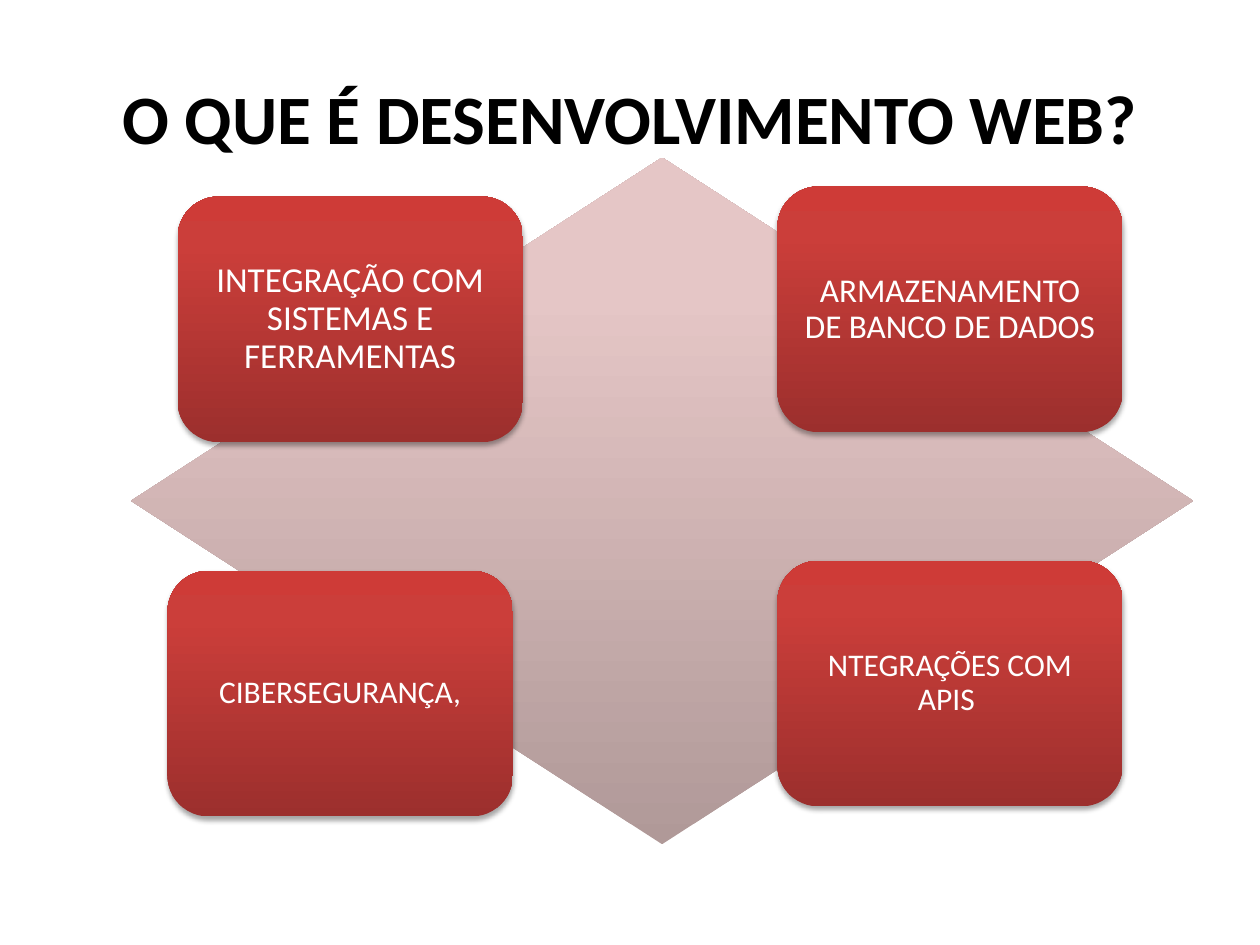
"""Build the slide on what web development is: four cards over a diamond."""
import copy
from dataclasses import dataclass

import lxml.etree
import pptx
import pptx.dml.color
import pptx.enum.shapes
import pptx.enum.text
import pptx.oxml.ns
import pptx.presentation
import pptx.shapes.autoshape
import pptx.slide
import pptx.text.text
import pptx.util

Inches = pptx.util.Inches
Pt = pptx.util.Pt
Shape = pptx.shapes.autoshape.Shape
Preset = pptx.enum.shapes.MSO_SHAPE
qn = pptx.oxml.ns.qn

FONT = "Calibri"
CARD_WIDTH, CARD_HEIGHT = 2.74, 1.95


@dataclass(frozen=True)
class GradientStop:
    position: float
    color: str


@dataclass(frozen=True)
class Card:
    label: str
    left: float
    top: float
    size: float
    inset: float


DIAMOND_STOPS = [GradientStop(0, "B09998"), GradientStop(0.8, "E5C6C6"), GradientStop(1, "E6C7C6")]
CARD_STOPS = [GradientStop(0, "9C2F2D"), GradientStop(0.8, "CB3E3A"), GradientStop(1, "CE3B37")]
CARDS = [
    Card("INTEGRAÇÃO COM SISTEMAS E FERRAMENTAS", 1.41, 1.56, 20, 0.08),
    Card("ARMAZENAMENTO DE BANCO DE DADOS", 6.17, 1.48, 19, 0.08),
    Card("CIBERSEGURANÇA,", 1.33, 4.53, 18, 0.07),
    Card("NTEGRAÇÕES COM APIS ", 6.17, 4.45, 18, 0.07),
]


def rgb(color: str) -> pptx.dml.color.RGBColor:
    return pptx.dml.color.RGBColor.from_string(color)


def fill_upward(shape: Shape, stops: list[GradientStop]) -> None:
    shape.fill.gradient()
    shape.fill.gradient_angle = 90
    stop_list = shape._element.spPr.find(f"{qn('a:gradFill')}/{qn('a:gsLst')}")
    stop_list.append(copy.deepcopy(stop_list[-1]))
    for target, stop in zip(shape.fill.gradient_stops, stops):
        target.position = stop.position
        target.color.rgb = rgb(stop.color)


def cast_shadow(shape: Shape) -> None:
    effects = shape._element.spPr.find(qn("a:effectLst"))
    shadow = lxml.etree.SubElement(
        effects, qn("a:outerShdw"), blurRad=str(Pt(3.1)), dist=str(Pt(1.8)),
        dir="5400000", rotWithShape="0")
    black = lxml.etree.SubElement(shadow, qn("a:srgbClr"), val="000000")
    lxml.etree.SubElement(black, qn("a:alpha"), val="35000")


def add_gradient_shape(slide: pptx.slide.Slide, preset: Preset, left: float, top: float,
                       width: float, height: float, stops: list[GradientStop]) -> Shape:
    shape = slide.shapes.add_shape(preset, Inches(left), Inches(top), Inches(width), Inches(height))
    fill_upward(shape, stops)
    shape.line.fill.background()
    shape.shadow.inherit = False
    return shape


def write_centred(frame: pptx.text.text.TextFrame, text: str, size: float, color: str,
                  bold: bool = False) -> pptx.text.text._Paragraph:
    frame.word_wrap = True
    frame.vertical_anchor = pptx.enum.text.MSO_ANCHOR.MIDDLE
    paragraph = frame.paragraphs[0]
    paragraph.alignment = pptx.enum.text.PP_ALIGN.CENTER
    run = paragraph.add_run()
    run.text = text
    run.font.name = FONT
    run.font.size = Pt(size)
    run.font.bold = bold
    run.font.color.rgb = rgb(color)
    return paragraph


def add_card(slide: pptx.slide.Slide, card: Card) -> None:
    body = add_gradient_shape(slide, Preset.ROUNDED_RECTANGLE, card.left, card.top,
                              CARD_WIDTH, CARD_HEIGHT, CARD_STOPS)
    cast_shadow(body)
    frame = body.text_frame
    frame.margin_left = frame.margin_right = Inches(card.inset)
    frame.margin_top = frame.margin_bottom = Inches(card.inset)
    write_centred(frame, card.label, card.size, "FFFFFF").line_spacing = 0.9


def main() -> None:
    presentation = pptx.Presentation()
    presentation.slide_width = Inches(10)
    presentation.slide_height = Inches(7.5)
    slide = presentation.slides.add_slide(presentation.slide_layouts[6])
    title = slide.shapes.add_textbox(Inches(0.5), Inches(0.3), Inches(9), Inches(1.25))
    write_centred(title.text_frame, "O QUE É DESENVOLVIMENTO WEB?", 39.6, "000000", bold=True)
    add_gradient_shape(slide, Preset.DIAMOND, 1.04, 1.25, 8.43, 5.45, DIAMOND_STOPS)
    for card in CARDS:
        add_card(slide, card)
    presentation.save("out.pptx")


if __name__ == "__main__":
    main()
